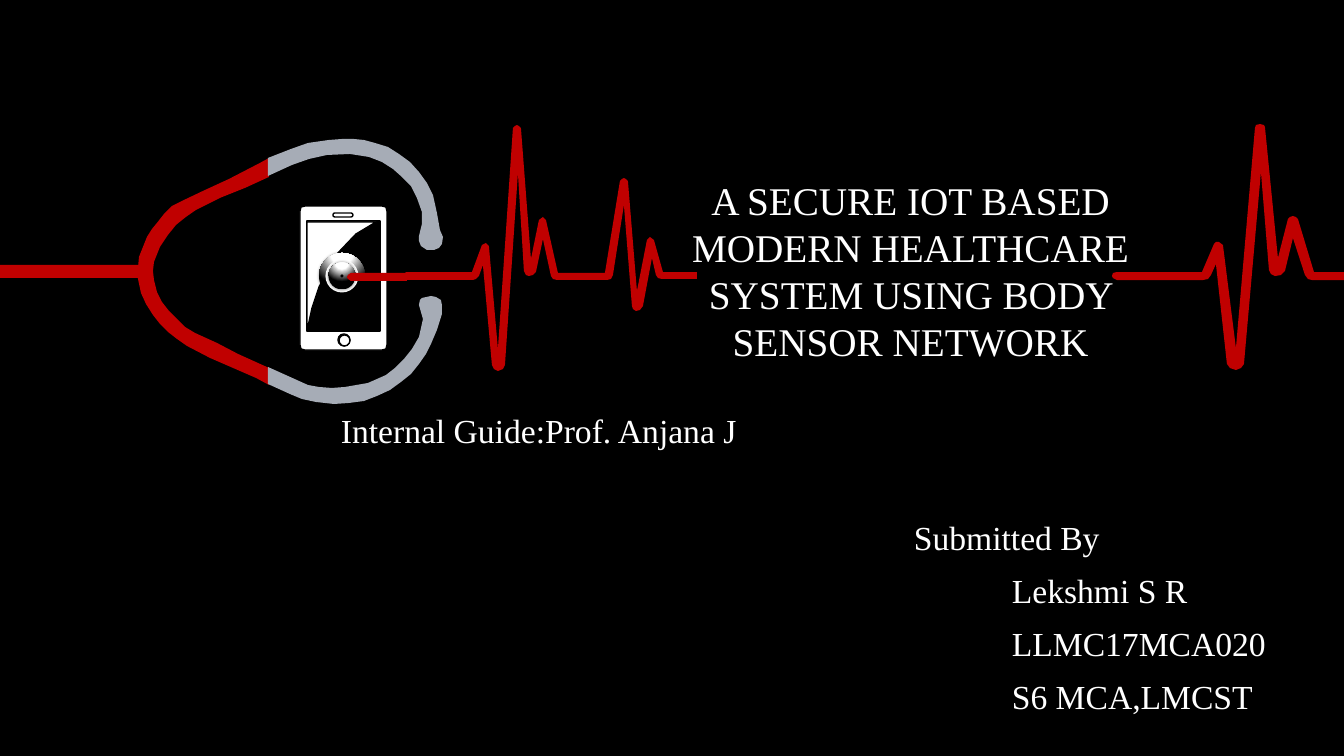
from lxml import etree
from pptx import Presentation
from pptx.dml.color import RGBColor
from pptx.enum.shapes import MSO_SHAPE
from pptx.enum.text import MSO_ANCHOR, MSO_AUTO_SIZE, PP_ALIGN
from pptx.oxml import parse_xml
from pptx.oxml.ns import qn
from pptx.util import Pt

PX = 12192000 / 1344
BLACK = RGBColor(0x00, 0x00, 0x00)
WHITE = RGBColor(0xFF, 0xFF, 0xFF)
RED = RGBColor(0xC0, 0x00, 0x00)
GREY = RGBColor(0xA6, 0xAC, 0xB6)
FONT = "Times New Roman"
OVAL = MSO_SHAPE.OVAL
RECTANGLE = MSO_SHAPE.RECTANGLE
ROUNDED = MSO_SHAPE.ROUNDED_RECTANGLE
CENTER, LEFT = PP_ALIGN.CENTER, PP_ALIGN.LEFT
MIDDLE, TOP = MSO_ANCHOR.MIDDLE, MSO_ANCHOR.TOP
NO_AUTOFIT = MSO_AUTO_SIZE.NONE
DRAWING = "http://schemas.openxmlformats.org/drawingml/2006/main"
METAL = (
    f'<a:gradFill xmlns:a="{DRAWING}" rotWithShape="1"><a:gsLst>'
    '<a:gs pos="0"><a:srgbClr val="FFFFFF"/></a:gs>'
    '<a:gs pos="35000"><a:srgbClr val="FFFFFF"/></a:gs>'
    '<a:gs pos="100000"><a:srgbClr val="000000"/></a:gs></a:gsLst>'
    '<a:path path="circle"><a:fillToRect l="50000" t="-80000" r="50000" b="180000"/>'
    '</a:path></a:gradFill>'
)

FIRST_BEAT = [
    (251, 115), (247, 112), (244, 115), (234, 166), (225, 56), (223, 54), (221, 53),
    (219, 54), (217, 56), (202, 148), (155, 148), (143, 95), (140, 92), (136, 95),
    (128, 134), (118, 3), (116, 1), (114, 0), (112, 1), (110, 3), (95, 224),
    (86, 121), (83, 118), (79, 120), (69, 147), (3, 147), (0, 151), (3, 155),
    (70, 155), (73, 154), (76, 151), (80, 140), (89, 240), (91, 244), (95, 246),
    (100, 244), (102, 240), (115, 48), (121, 146), (123, 150), (126, 151), (130, 150),
    (133, 147), (140, 114), (148, 151), (150, 154), (154, 155), (204, 155), (208, 154),
    (210, 150), (221, 80), (229, 181), (230, 184), (233, 186), (237, 185), (240, 181),
    (249, 133), (253, 150), (255, 153), (259, 154), (294, 154), (294, 147), (260, 147),
]
SECOND_BEAT = [
    (148, 0), (152, 1), (153, 3), (166, 134), (176, 95), (178, 93), (181, 92),
    (184, 93), (186, 95), (202, 148), (232, 148), (232, 156), (200, 156), (196, 155),
    (193, 151), (181, 114), (173, 147), (169, 151), (163, 152), (159, 150), (157, 146),
    (149, 48), (132, 240), (129, 244), (124, 246), (118, 244), (115, 240), (104, 140),
    (99, 151), (96, 155), (91, 156), (5, 156), (1, 154), (0, 152), (1, 149), (5, 148),
    (90, 148), (102, 120), (104, 118), (107, 118), (111, 121), (124, 224), (143, 4),
    (144, 1),
]
CABLE = [(4, 0), (60, 0), (60, 8), (4, 8), (1, 6), (0, 4), (1, 2)]
RED_TUBE = [
    (131, 0), (131, 19), (107, 30), (82, 40), (58, 52), (48, 59), (38, 67), (30, 77),
    (22, 89), (16, 104), (15, 113), (16, 122), (19, 134), (24, 144), (31, 153),
    (39, 161), (47, 169), (57, 175), (79, 185), (100, 196), (131, 210), (131, 227),
    (118, 220), (95, 210), (72, 200), (49, 188), (39, 181), (30, 174), (22, 166),
    (15, 157), (8, 146), (3, 135), (0, 121), (0, 110), (1, 99), (5, 89), (9, 79),
    (14, 71), (19, 65), (26, 56), (34, 48), (44, 43), (65, 33), (91, 21), (122, 5),
]
LOWER_EARPIECE = [
    (174, 166), (174, 175), (169, 191), (163, 205), (158, 215), (151, 225), (143, 235),
    (133, 243), (122, 251), (109, 257), (96, 262), (81, 264), (66, 265), (48, 263),
    (34, 260), (22, 255), (0, 245), (0, 228), (40, 246), (51, 248), (64, 249),
    (77, 248), (100, 244), (118, 236), (127, 229), (136, 220), (144, 210), (151, 198),
    (155, 180), (151, 166), (152, 161), (154, 159), (163, 157), (168, 158), (173, 161),
]
UPPER_EARPIECE = [
    (175, 98), (174, 105), (171, 109), (166, 111), (159, 111), (153, 107), (151, 102),
    (151, 97), (154, 85), (154, 73), (149, 59), (143, 47), (134, 38), (125, 30),
    (114, 23), (101, 18), (82, 15), (59, 16), (41, 20), (24, 26), (0, 37), (0, 19),
    (23, 10), (40, 4), (61, 1), (74, 0), (86, 0), (96, 1), (107, 4), (120, 8),
    (131, 15), (142, 23), (151, 33), (159, 44), (165, 56), (169, 74), (172, 91),
]
PHONE_BODY = [
    (82, 0), (5, 0), (1, 1), (0, 5), (0, 139), (1, 143), (5, 144), (82, 144),
    (86, 143), (87, 139), (87, 5), (86, 1),
]
PHONE_SCREEN = [(80, 125), (7, 125), (7, 15), (80, 15)]
GLARE = [(0, 0), (0, 109), (5, 86), (12, 65), (29, 33), (49, 12), (69, 0)]


def px(length):
    """Turn pixels into EMU."""
    return round(length * PX)


def paint(shape, fill, line=None):
    """Give a shape a solid fill, an optional outline and no shadow."""
    shape.shadow.inherit = False
    shape.fill.solid()
    shape.fill.fore_color.rgb = fill
    if line is None:
        shape.line.fill.background()
    else:
        shape.line.color.rgb = line
        shape.line.width = Pt(1)
    return shape


def add_preset(page, kind, box, fill, line=None):
    """Add a preset shape in a pixel box."""
    return paint(page.shapes.add_shape(kind, *map(px, box)), fill, line)


def add_outline(page, origin, contours, fill, line=None):
    """Add closed contours whose points are measured from origin."""
    left, top = origin
    builder = None
    for contour in contours:
        start, *rest = [(left + x, top + y) for x, y in contour]
        if builder is None:
            builder = page.shapes.build_freeform(*start, scale=PX)
        else:
            builder.move_to(*start)
        builder.add_line_segments(rest, close=True)
    return paint(builder.convert_to_shape(), fill, line)


def add_phone(page, box):
    """Draw the phone with its glare, speaker and home button."""
    left, top, width, height = box
    add_outline(page, (left, top), [PHONE_BODY, PHONE_SCREEN], WHITE, BLACK)
    speaker = add_preset(page, ROUNDED, (left + 33, top + 7, 20, 4), WHITE, BLACK)
    speaker.adjustments[0] = 0.5
    add_outline(page, (left + 7, top + 16), [GLARE], WHITE, BLACK)
    for inset, size in ((38, 12), (39, 11)):
        add_preset(page, OVAL, (left + inset, top + height - 54 + inset, size, size), WHITE, BLACK)


def add_chestpiece(page, box):
    """Draw concentric discs, two of them metallic with a soft shadow."""
    left, top, width, height = box
    for size, fill in ((width, None), (33, WHITE), (27, None), (3, BLACK)):
        inset = (width - size) / 2
        disc = add_preset(page, OVAL, (left + inset, top + inset, size, size), fill or WHITE)
        if fill is None:
            properties = disc.element.spPr
            properties.replace(properties.find(qn("a:solidFill")), parse_xml(METAL))
            effects = properties.find(qn("a:effectLst"))
            shadow = etree.SubElement(effects, qn("a:outerShdw"), blurRad=str(Pt(2)))
            color = etree.SubElement(shadow, qn("a:srgbClr"), val="000000")
            etree.SubElement(color, qn("a:alpha"), val="40000")


def add_stethoscope(page, box):
    """Draw the tubing, the earpieces and the straight tube on the left."""
    left, top, width, height = box
    add_outline(page, (left + 138, top + 19), [RED_TUBE], RED)
    add_outline(page, (left + 268, top), [LOWER_EARPIECE, UPPER_EARPIECE], GREY)
    add_preset(page, RECTANGLE, (left, top + 126, 143, 13), RED)


def write(para, text, size=24, align=LEFT, indent=0, before=0, spacing=1.0):
    """Fill one paragraph with formatted white text."""
    para.alignment = align
    para.space_before = Pt(before)
    para.line_spacing = spacing
    para._p.get_or_add_pPr().set("marL", str(px(indent)))
    span = para.add_run()
    span.text = text
    span.font.name = FONT
    span.font.size = Pt(size)
    span.font.color.rgb = WHITE


def place_frame(shape, box, anchor):
    """Move a text shape and return its wrapping frame."""
    shape.left, shape.top, shape.width, shape.height = map(px, box)
    frame = shape.text_frame
    frame.word_wrap = True
    frame.auto_size = NO_AUTOFIT
    frame.vertical_anchor = anchor
    return frame


def add_title(page, box):
    """Place the title in its placeholder."""
    frame = place_frame(page.shapes.title, box, MIDDLE)
    title = "A SECURE IOT BASED MODERN HEALTHCARE SYSTEM USING BODY SENSOR NETWORK"
    write(frame.paragraphs[0], title, size=28, align=CENTER)


def add_credits(page, box):
    """List the guide and the author with stepped indents."""
    frame = place_frame(page.shapes.add_textbox(*map(px, box)), box, TOP)
    lines = [
        ("Internal Guide:Prof. Anjana J", 277, 0),
        ("Submitted By", 850, 50),
        ("Lekshmi S R", 948, 12),
        ("LLMC17MCA020", 948, 12),
        ("S6 MCA,LMCST", 948, 12),
    ]
    for index, (text, indent, before) in enumerate(lines):
        para = frame.add_paragraph() if index else frame.paragraphs[0]
        write(para, text, indent=indent, before=before, spacing=0.9)


def main():
    """Build and save the slide."""
    deck = Presentation()
    deck.slide_width, deck.slide_height = px(1344), px(756)
    page = deck.slides.add_slide(deck.slide_layouts.get_by_name("Title Only"))
    page.background.fill.solid()
    page.background.fill.fore_color.rgb = BLACK
    add_phone(page, (300, 206, 87, 144))
    add_outline(page, (403, 125), [FIRST_BEAT], RED)
    add_title(page, (636, 170, 549, 201))
    add_outline(page, (1112, 124), [SECOND_BEAT], RED)
    add_chestpiece(page, (319, 253, 46, 46))
    add_stethoscope(page, (0, 139, 443, 265))
    add_credits(page, (54, 410, 1279, 330))
    add_outline(page, (347, 273), [CABLE], RED)
    deck.save("out.pptx")


if __name__ == "__main__":
    main()
